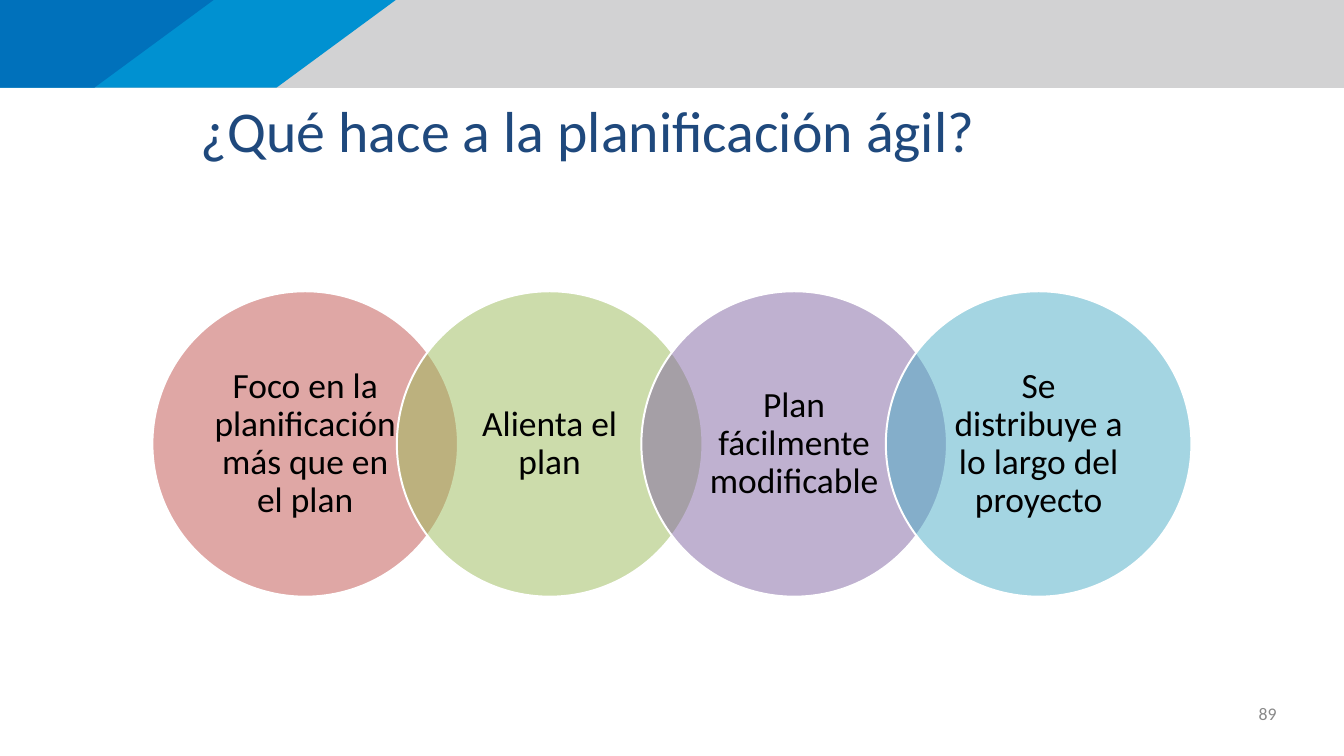
from dataclasses import dataclass

from lxml.etree import SubElement
from pptx import Presentation
from pptx.dml.color import RGBColor
from pptx.enum.shapes import MSO_SHAPE
from pptx.enum.text import MSO_ANCHOR, PP_ALIGN
from pptx.oxml.ns import qn
from pptx.util import Pt

GREY = RGBColor(0xD2, 0xD2, 0xD3)
LIGHT_BLUE = RGBColor(0x00, 0x91, 0xD1)
DARK_BLUE = RGBColor(0x00, 0x71, 0xBB)
NAVY = RGBColor(0x1F, 0x49, 0x7D)
RED = RGBColor(0xC0, 0x50, 0x4D)
GREEN = RGBColor(0x9B, 0xBB, 0x59)
PURPLE = RGBColor(0x80, 0x64, 0xA2)
AQUA = RGBColor(0x4B, 0xAC, 0xC6)
NUMBER_GREY = RGBColor(0x89, 0x89, 0x89)
WHITE = RGBColor(0xFF, 0xFF, 0xFF)
BLACK = RGBColor(0x00, 0x00, 0x00)

FONT = "Calibri"
SLIDE_WIDTH, SLIDE_HEIGHT = 1365.12, 768.24
BAND_HEIGHT = 89.3
CIRCLE_LEFT, CIRCLE_TOP = 154.8, 296
CIRCLE_SIZE = 310.4
CIRCLE_STEP = CIRCLE_SIZE * 0.8


@dataclass
class Stripe:
    top_right: float
    bottom_right: float
    color: RGBColor


@dataclass
class Trait:
    text: str
    color: RGBColor


STRIPES = [
    Stripe(SLIDE_WIDTH, SLIDE_WIDTH, GREY),
    Stripe(401.8, 281, LIGHT_BLUE),
    Stripe(216.7, 96.5, DARK_BLUE),
]
TRAITS = [
    Trait("Foco en la planificación más que en el plan", RED),
    Trait("Alienta el plan", GREEN),
    Trait("Plan fácilmente modificable", PURPLE),
    Trait("Se distribuye a lo largo del proyecto", AQUA),
]


def place(shape, left: float, top: float, width: float, height: float) -> None:
    shape.left, shape.top = Pt(left), Pt(top)
    shape.width, shape.height = Pt(width), Pt(height)


def write(shape, text: str, size: float, color: RGBColor, align: PP_ALIGN,
          anchor: MSO_ANCHOR, side: float = 0, edge: float = 0) -> None:
    frame = shape.text_frame
    frame.text = text
    frame.word_wrap = True
    frame.vertical_anchor = anchor
    frame.margin_left = frame.margin_right = Pt(side)
    frame.margin_top = frame.margin_bottom = Pt(edge)
    paragraph = frame.paragraphs[0]
    paragraph.alignment = align
    font = paragraph.runs[0].font
    font.name, font.size = FONT, Pt(size)
    font.color.rgb = color


def draw_stripe(slide, stripe: Stripe) -> None:
    builder = slide.shapes.build_freeform(0, 0, scale=Pt(1))
    builder.add_line_segments([
        (stripe.top_right, 0), (stripe.bottom_right, BAND_HEIGHT), (0, BAND_HEIGHT),
    ])
    shape = builder.convert_to_shape()
    shape.shadow.inherit = False
    shape.fill.solid()
    shape.fill.fore_color.rgb = stripe.color
    shape.line.fill.background()


def draw_trait(slide, trait: Trait, left: float) -> None:
    circle = slide.shapes.add_shape(
        MSO_SHAPE.OVAL, Pt(left), Pt(CIRCLE_TOP), Pt(CIRCLE_SIZE), Pt(CIRCLE_SIZE))
    circle.shadow.inherit = False
    circle.fill.solid()
    circle.fill.fore_color.rgb = trait.color
    # Half-transparent fill
    color = circle.fill._xPr.find(qn("a:solidFill"))[0]
    SubElement(color, qn("a:alpha"), val="50000")
    circle.line.color.rgb = WHITE
    circle.line.width = Pt(2)
    write(circle, trait.text, 36, BLACK, PP_ALIGN.CENTER, MSO_ANCHOR.MIDDLE,
          side=17, edge=3.6)
    circle.text_frame.paragraphs[0].line_spacing = 0.9


def main() -> None:
    presentation = Presentation()
    presentation.slide_width = Pt(SLIDE_WIDTH)
    presentation.slide_height = Pt(SLIDE_HEIGHT)
    slide = presentation.slides.add_slide(presentation.slide_layouts[5])

    # Header band
    for stripe in STRIPES:
        draw_stripe(slide, stripe)

    # Title
    title = slide.shapes.title
    place(title, 16.6, 95.8, 1160.6, 71.3)
    write(title, "¿Qué hace a la planificación ágil?", 58.7, NAVY,
          PP_ALIGN.CENTER, MSO_ANCHOR.TOP)

    # Overlapping circles
    for index, trait in enumerate(TRAITS):
        draw_trait(slide, trait, CIRCLE_LEFT + index * CIRCLE_STEP)

    # Page number
    page_number = slide.shapes.add_textbox(Pt(982.8), Pt(714.2), Pt(313.9), Pt(21.6))
    write(page_number, "89", 18, NUMBER_GREY, PP_ALIGN.RIGHT, MSO_ANCHOR.TOP)

    presentation.save("out.pptx")


if __name__ == "__main__":
    main()
